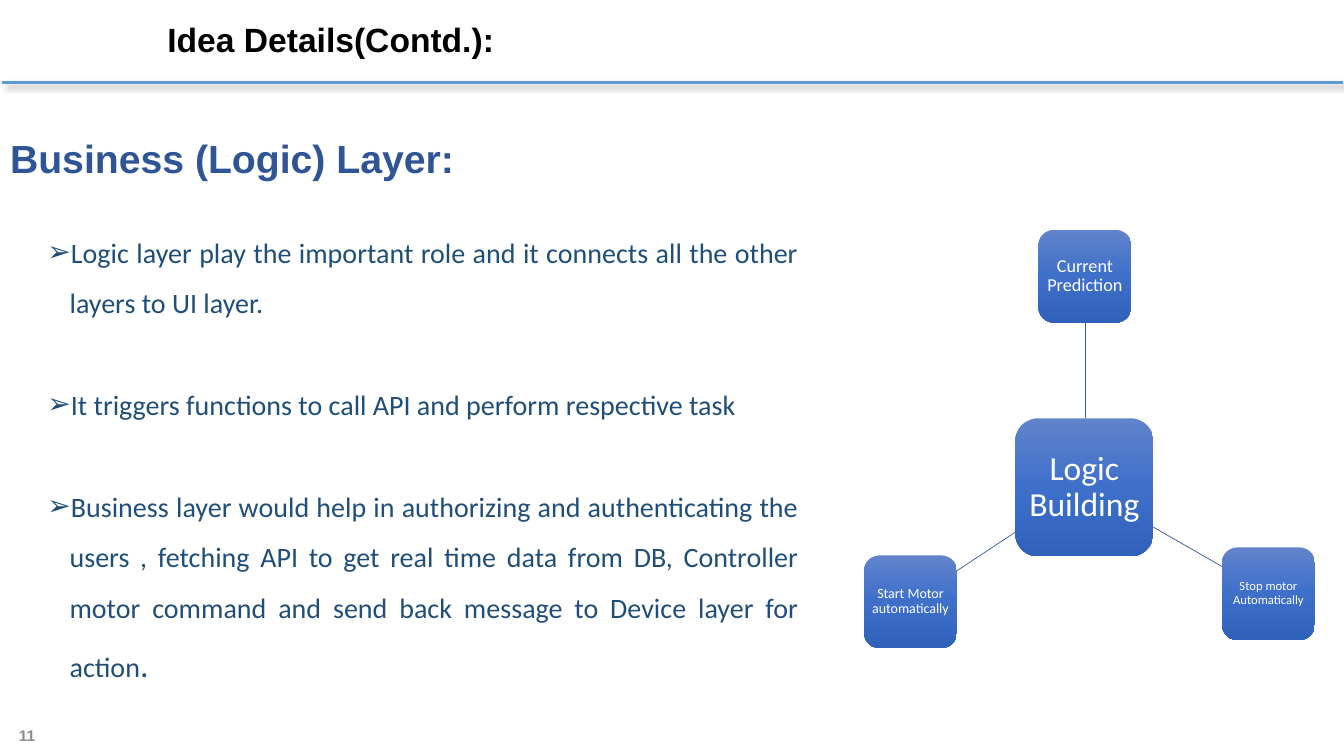
from copy import deepcopy

from lxml.etree import SubElement
from pptx import Presentation
from pptx.dml.color import RGBColor
from pptx.enum.shapes import MSO_CONNECTOR, MSO_SHAPE
from pptx.enum.text import MSO_ANCHOR, MSO_AUTO_SIZE, PP_ALIGN
from pptx.oxml.ns import qn
from pptx.util import Pt

SCALE = 9144  # EMU per px, 100 px to the inch
COLORS = {
    "title": "000000", "heading": "2F5597", "list": "1F4E79",
    "page": "8C8C8C", "rule": "5B9BD5", "link": "365B9D",
    "node": "FFFFFF", "shadow": "000000",
    "top": "6183CB", "mid": "3E70CA", "low": "3062BB",
}
POINTS = [
    "Logic layer play the important role and it connects all the other "
    "layers to UI layer.",
    "It triggers functions to call API and perform respective task",
    "Business layer would help in authorizing and authenticating the users , "
    "fetching API to get real time data from DB, Controller motor command "
    "and send back message to Device layer for action",
]
# text, left, top, side, font size, inset
NODES = [
    ("Logic Building", 1007, 415, 137, 24, 5),
    ("Current Prediction", 1030, 228, 92, 13, 2),
    ("Stop motor Automatically", 1212, 543, 92, 9, 2),
    ("Start Motor automatically", 857, 551, 92, 10, 2),
]
LINKS = [
    (1076, 415, 1076, 319),
    (1144, 523, 1212, 562),
    (1007, 528, 948, 567),
]


def px(*vals):
    return [val * SCALE for val in vals]


def color(name):
    return RGBColor.from_string(COLORS[name])


def style(para, name, size, face="Calibri", bold=False):
    for run in para.runs:
        font = run.font
        font.name, font.size, font.bold = face, Pt(size), bold
        font.color.rgb = color(name)


def place(shape, box, anchor=MSO_ANCHOR.TOP):
    shape.left, shape.top, shape.width, shape.height = px(*box)
    frame = shape.text_frame
    frame.word_wrap = True
    frame.auto_size = MSO_AUTO_SIZE.NONE
    frame.vertical_anchor = anchor
    return frame


def bullet(para, left, hang, mark=None):
    props = para._p.get_or_add_pPr()
    props.set("marL", str(left * SCALE))
    props.set("indent", str(-hang * SCALE))
    if mark:
        SubElement(props, qn("a:buChar"), char=mark)
    else:
        SubElement(props, qn("a:buNone"))


def add_label(shape, box, text, name, size, anchor):
    """Fill a one-line holder with bold Arial text."""
    frame = place(shape, box, anchor)
    frame.text = text
    para = frame.paragraphs[0]
    bullet(para, 0, 0)
    para.alignment = PP_ALIGN.LEFT
    para.line_spacing = 1.1
    para.space_before = Pt(0)
    style(para, name, size, "Arial", True)


def add_list(shape, box):
    frame = place(shape, box)
    for i, text in enumerate(POINTS):
        para = frame.add_paragraph() if i else frame.paragraphs[0]
        para.text = text
        bullet(para, 50, 22, "➢")
        para.alignment = PP_ALIGN.JUSTIFY
        para.line_spacing = 1.5
        para.space_before = Pt(36.6 if i else 0)
        style(para, "list", 20)
    stop = para.add_run()
    stop.text = "."
    style(para, "list", 20)
    stop.font.size = Pt(24)


def add_line(slide, ends, name, width):
    """Draw a line and return its empty effect list."""
    line = slide.shapes.add_connector(MSO_CONNECTOR.STRAIGHT, *px(*ends))
    line.line.color.rgb = color(name)
    line.line.width = Pt(width)
    return SubElement(line._element.spPr, qn("a:effectLst"))


def add_rule(slide):
    effects = add_line(slide, (2, 82, 1332, 82), "rule", 1.75)
    shade = SubElement(effects, qn("a:outerShdw"), blurRad=str(Pt(4)),
                       dist=str(Pt(3)), dir="2700000", algn="tl",
                       rotWithShape="0")
    tint = SubElement(shade, qn("a:srgbClr"), val=COLORS["shadow"])
    SubElement(tint, qn("a:alpha"), val="40000")


def shade_node(shape):
    fill = shape.fill
    fill.gradient()
    fill.gradient_angle = 270
    stops = shape._element.spPr.find(".//" + qn("a:gsLst"))
    stops.insert(1, deepcopy(stops[0]))
    for i, name in enumerate(("top", "mid", "low")):
        stop = fill.gradient_stops[i]
        stop.color.rgb = color(name)
        stop.position = i / 2


def add_node(slide, text, left, top, side, size, inset):
    box = (left, top, side, side)
    node = slide.shapes.add_shape(MSO_SHAPE.ROUNDED_RECTANGLE, *px(*box))
    node.shadow.inherit = False
    shade_node(node)
    node.line.fill.background()
    frame = place(node, box, MSO_ANCHOR.MIDDLE)
    frame.margin_left, frame.margin_right = px(inset, inset)
    frame.margin_top, frame.margin_bottom = px(inset, inset)
    frame.text = text
    para = frame.paragraphs[0]
    para.alignment = PP_ALIGN.CENTER
    para.line_spacing = 0.9
    style(para, "node", size)


def main():
    deck = Presentation()
    deck.slide_width, deck.slide_height = px(1333, 750)
    slide = deck.slides.add_slide(deck.slide_layouts[3])
    title, head, body = list(slide.placeholders)[:3]

    add_rule(slide)
    add_label(title, (156, 9, 1080, 55), "Idea Details(Contd.):",
              "title", 24, MSO_ANCHOR.MIDDLE)
    add_label(head, (0, 124, 1273, 70), "Business (Logic) Layer:",
              "heading", 28, MSO_ANCHOR.TOP)
    add_list(body, (9, 212, 793, 525))

    for ends in LINKS:
        add_line(slide, ends, "link", 0.5)
    for node in NODES:
        add_node(slide, *node)

    box = (9, 714, 50, 30)
    page = slide.shapes.add_textbox(*px(*box))
    add_label(page, box, "11", "page", 11, MSO_ANCHOR.MIDDLE)
    deck.save("out.pptx")


if __name__ == "__main__":
    main()
